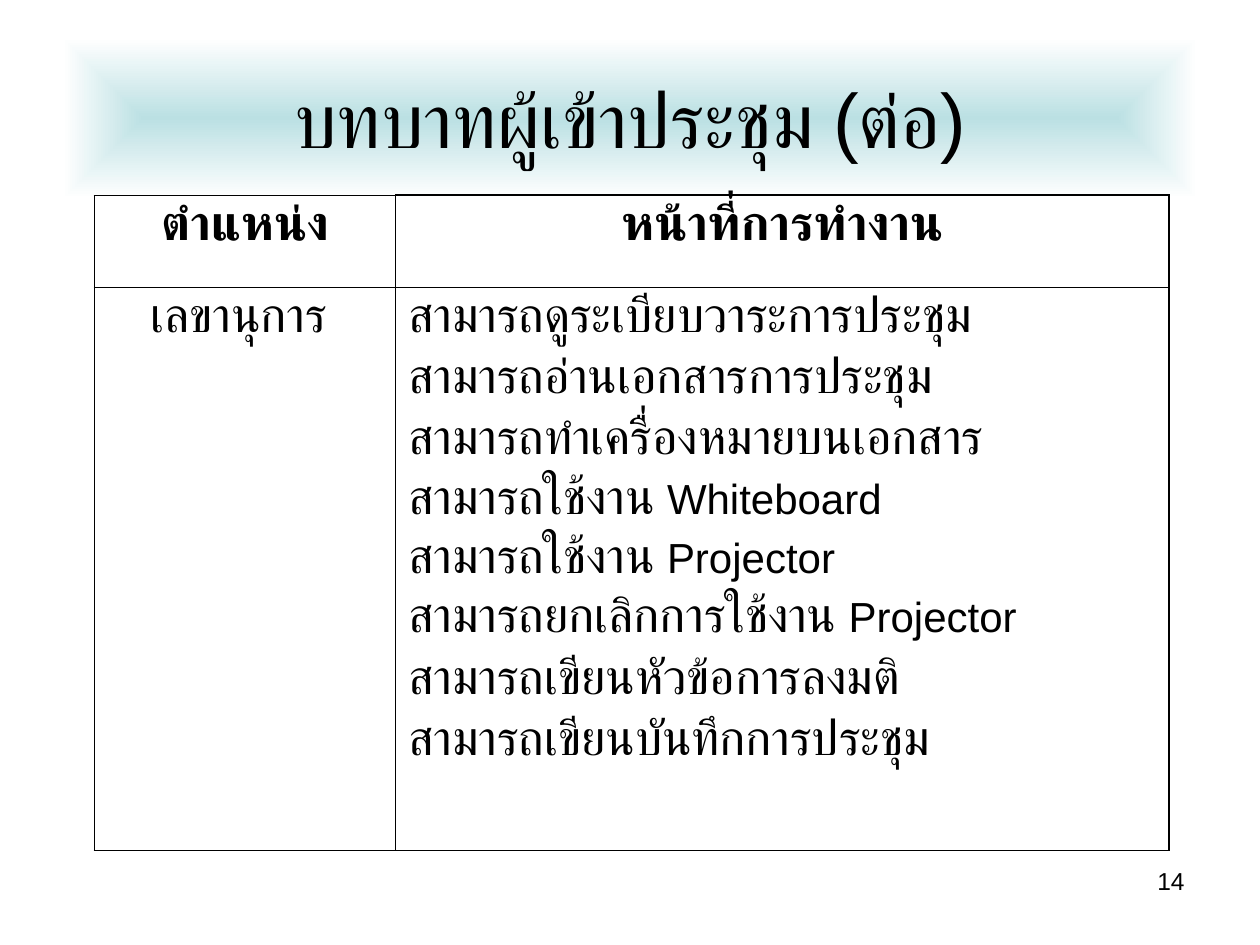
from lxml import etree
from pptx import Presentation
from pptx import util as u
from pptx.dml import color
from pptx.enum import shapes, text
from pptx.oxml import ns

WIDE, HIGH = 10, 7.5
HEADS = ["ตำแหน่ง", "หน้าที่การทำงาน"]
ROLE = "เลขานุการ "
DUTIES = [
    ["สามารถดูระเบียบวาระการประชุม"],
    ["สามารถอ่านเอกสารการประชุม"],
    ["สามารถทำเครื่องหมายบนเอกสาร"],
    ["สามารถใช้งาน ", "Whiteboard"],
    ["สามารถใช้งาน ", "Projector"],
    ["สามารถยกเลิกการใช้งาน ", "Projector"],
    ["สามารถเขียนหัวข้อการลงมติ"],
    ["สามารถเขียนบันทึกการประชุม"],
]


def tint(code):
    """Turn a hex string into a colour."""
    return color.RGBColor.from_string(code)


class Deck:
    """Hold the style and the current slide."""

    font, ink, glow, pale = "Arial", "000000", "BBE0E3", "FFFFFF"
    thick, thin = 1.08, 0.45
    left, mid, right = text.PP_ALIGN.LEFT, text.PP_ALIGN.CENTER, text.PP_ALIGN.RIGHT

    def __init__(self):
        """Open a deck with one blank slide."""
        self.prs = Presentation()
        self.prs.slide_width, self.prs.slide_height = u.Inches(WIDE), u.Inches(HIGH)
        self.slide = self.prs.slides.add_slide(self.prs.slide_layouts[6])

    def area(self, x, y, w, h):
        """Turn shares of the slide into lengths."""
        pw, ph = self.prs.slide_width, self.prs.slide_height
        return int(x * pw), int(y * ph), int(w * pw), int(h * ph)

    def say(self, para, parts, align, bold=False):
        """Add runs of (words, size) to a paragraph."""
        para.alignment = align
        for words, size in parts:
            run = para.add_run()
            run.text = words
            run.font.name, run.font.size, run.font.bold = self.font, u.Pt(size), bold
            run.font.color.rgb = tint(self.ink)

    def banner(self, box, words, size):
        """Draw a heading on a glow that fades to its edges."""
        shape = self.slide.shapes.add_shape(shapes.MSO_SHAPE.RECTANGLE, *self.area(*box))
        shape.shadow.inherit = False
        shape.line.fill.background()
        shape.fill.gradient()
        for stop, code, spot in zip(shape.fill.gradient_stops, (self.glow, self.pale), (0, 1)):
            stop.color.rgb, stop.position = tint(code), spot
        lin = shape._element.spPr.find(".//" + ns.qn("a:lin"))
        glow = etree.Element(ns.qn("a:path"), {"path": "rect"})
        etree.SubElement(glow, ns.qn("a:fillToRect"), dict.fromkeys("ltrb", "50000"))
        lin.getparent().replace(lin, glow)
        shape.text_frame.vertical_anchor = text.MSO_ANCHOR.MIDDLE
        self.say(shape.text_frame.paragraphs[0], [(words, size)], self.mid)

    def label(self, box, words, size, align):
        """Place a line of text."""
        frame = self.slide.shapes.add_textbox(*self.area(*box)).text_frame
        frame.word_wrap = True
        self.say(frame.paragraphs[0], [(words, size)], align)

    def grid(self, box, cols, rows):
        """Place a ruled table with column and row shares of its box."""
        x, y, w, h = self.area(*box)
        table = self.slide.shapes.add_table(len(rows), len(cols), x, y, w, h).table
        table.first_row = table.horz_banding = False
        for col, share in zip(table.columns, cols):
            col.width = int(w * share)
        for row, share in zip(table.rows, rows):
            row.height = int(h * share)
        for r in range(len(rows)):
            for c in range(len(cols)):
                cell = table.cell(r, c)
                cell.fill.background()
                self.rule(cell, L=c == 0, R=c == len(cols) - 1,
                          T=r == 0 and c > 0, B=r == len(rows) - 1)
        return table

    def rule(self, cell, **sides):
        """Line the sides of a cell, thick where true."""
        props = cell._tc.get_or_add_tcPr()
        for spot, (side, heavy) in enumerate(sides.items()):
            width = u.Pt(self.thick if heavy else self.thin)
            line = etree.Element(ns.qn("a:ln" + side), w=str(int(width)))
            fill = etree.SubElement(line, ns.qn("a:solidFill"))
            etree.SubElement(fill, ns.qn("a:srgbClr"), val=self.ink)
            props.insert(spot, line)

    def items(self, cell, rows, sizes):
        """Fill a cell with hanging paragraphs."""
        frame = cell.text_frame
        for i, row in enumerate(rows):
            para = frame.add_paragraph() if i else frame.paragraphs[0]
            props = para._p.get_or_add_pPr()
            props.set("marL", str(int(u.Inches(0.58))))
            props.set("indent", str(int(u.Inches(-0.58))))
            if i:
                para.space_before = u.Pt(7 if len(row) == 1 else 6)
            self.say(para, zip(row, sizes), self.left)


def main():
    """Build the slide."""
    deck = Deck()
    deck.banner((0.05, 0.04, 0.9, 0.17), "บทบาทผู้เข้าประชุม (ต่อ)", 44)
    table = deck.grid((0.075, 1.55 / HIGH, 0.853, 5.2 / HIGH), (0.28, 0.72), (0.14, 0.86))
    for c, head in enumerate(HEADS):
        deck.say(table.cell(0, c).text_frame.paragraphs[0], [(head, 28)], deck.mid, True)
    deck.say(table.cell(1, 0).text_frame.paragraphs[0], [(ROLE, 28)], deck.mid)
    deck.items(table.cell(1, 1), DUTIES, (28, 24))
    deck.label((0.717, 0.91, 0.233, 0.07), "14", 14, deck.right)
    deck.prs.save("out.pptx")


if __name__ == "__main__":
    main()
